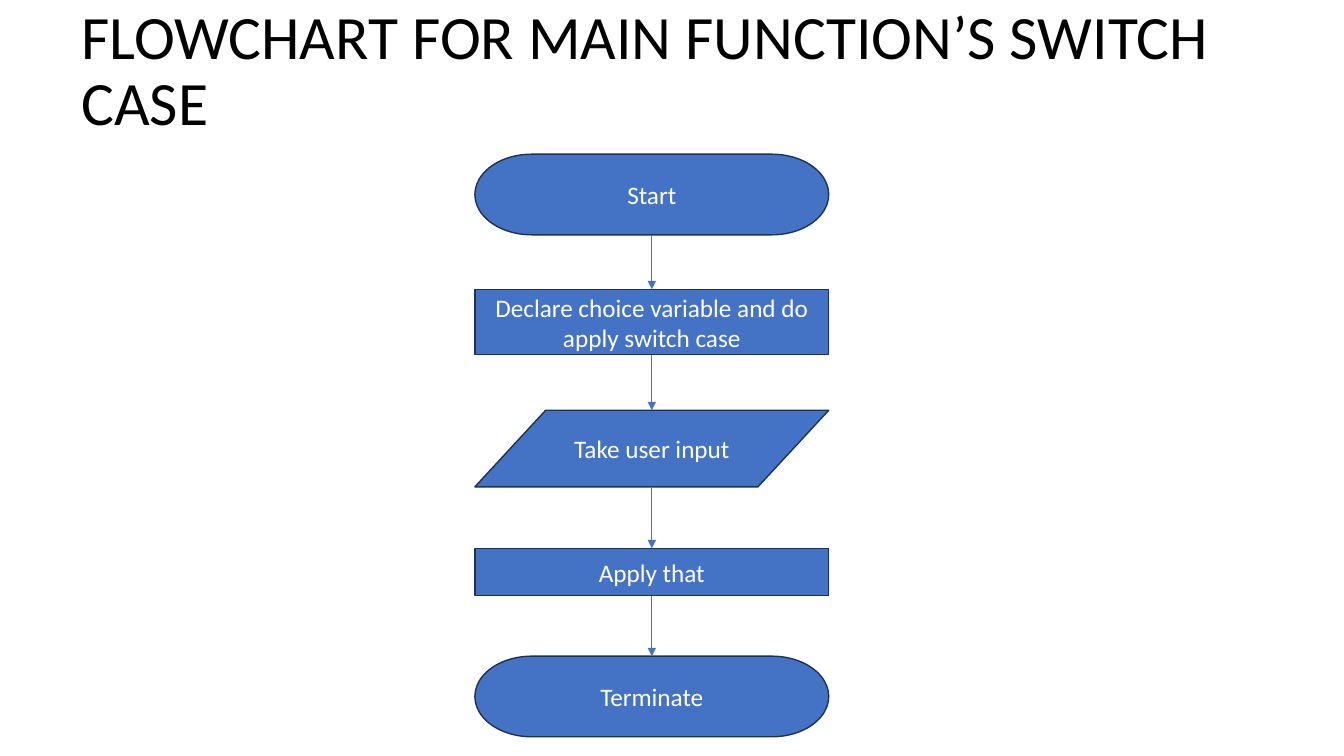
from itertools import pairwise

from lxml.etree import SubElement
from pptx import Presentation
from pptx.dml.color import RGBColor
from pptx.enum.shapes import MSO_CONNECTOR, MSO_SHAPE
from pptx.enum.text import MSO_ANCHOR, PP_ALIGN
from pptx.oxml.ns import qn
from pptx.util import Inches, Pt

BLACK = RGBColor(0x00, 0x00, 0x00)
WHITE = RGBColor(0xFF, 0xFF, 0xFF)
BLUE = RGBColor(0x44, 0x72, 0xC4)
NAVY = RGBColor(0x1E, 0x32, 0x56)

FONT = "Calibri"
STEP_LEFT, STEP_WIDTH = 4.71, 3.51
BOTTOM_SITE = 2
TOP_SITE = 0

# Outline, top, height and wording of each step, in order of flow
STEPS = [
    (MSO_SHAPE.FLOWCHART_TERMINATOR, 1.53, 0.8, "Start"),
    (MSO_SHAPE.RECTANGLE, 2.87, 0.65,
     "Declare choice variable and do apply switch case"),
    (MSO_SHAPE.FLOWCHART_DATA, 4.07, 0.76, "Take user input"),
    (MSO_SHAPE.FLOWCHART_PROCESS, 5.44, 0.47, "Apply that"),
    (MSO_SHAPE.FLOWCHART_TERMINATOR, 6.51, 0.8, "Terminate"),
]


def write_text(holder, wording, size, color, align):
    frame = holder.text_frame
    frame.text = wording
    frame.word_wrap = True
    frame.vertical_anchor = MSO_ANCHOR.MIDDLE
    paragraph = frame.paragraphs[0]
    paragraph.alignment = align
    font = paragraph.runs[0].font
    font.name = FONT
    font.size = Pt(size)
    font.color.rgb = color
    return paragraph


def add_title(slide, wording):
    title = slide.shapes.add_textbox(
        Inches(0.71), Inches(0), Inches(11.5), Inches(1.44))
    paragraph = write_text(title, wording, 44, BLACK, PP_ALIGN.LEFT)
    paragraph.line_spacing = 0.9


def add_step(slide, outline, top, height, wording):
    step = slide.shapes.add_shape(
        outline, Inches(STEP_LEFT), Inches(top),
        Inches(STEP_WIDTH), Inches(height))
    step.shadow.inherit = False
    step.fill.solid()
    step.fill.fore_color.rgb = BLUE
    step.line.color.rgb = NAVY
    step.line.width = Pt(1)
    write_text(step, wording, 18, WHITE, PP_ALIGN.CENTER)
    return step


def add_arrow(slide, upper, lower):
    arrow = slide.shapes.add_connector(MSO_CONNECTOR.STRAIGHT, 0, 0, 0, 0)
    arrow.begin_connect(upper, BOTTOM_SITE)
    arrow.end_connect(lower, TOP_SITE)
    arrow.line.color.rgb = BLUE
    arrow.line.width = Pt(0.5)
    # Arrowhead at the lower step, and no shadow
    SubElement(arrow.line._get_or_add_ln(), qn("a:tailEnd"), type="triangle")
    SubElement(arrow._element.spPr, qn("a:effectLst"))


def main():
    deck = Presentation()
    deck.slide_width = Inches(13.33)
    deck.slide_height = Inches(7.5)
    slide = deck.slides.add_slide(deck.slide_layouts[6])

    # Heading
    add_title(slide, "FLOWCHART FOR MAIN FUNCTION’S SWITCH CASE")

    # Flowchart steps, each joined to the next
    steps = [add_step(slide, *step) for step in STEPS]
    for upper, lower in pairwise(steps):
        add_arrow(slide, upper, lower)

    deck.save("out.pptx")


if __name__ == "__main__":
    main()
